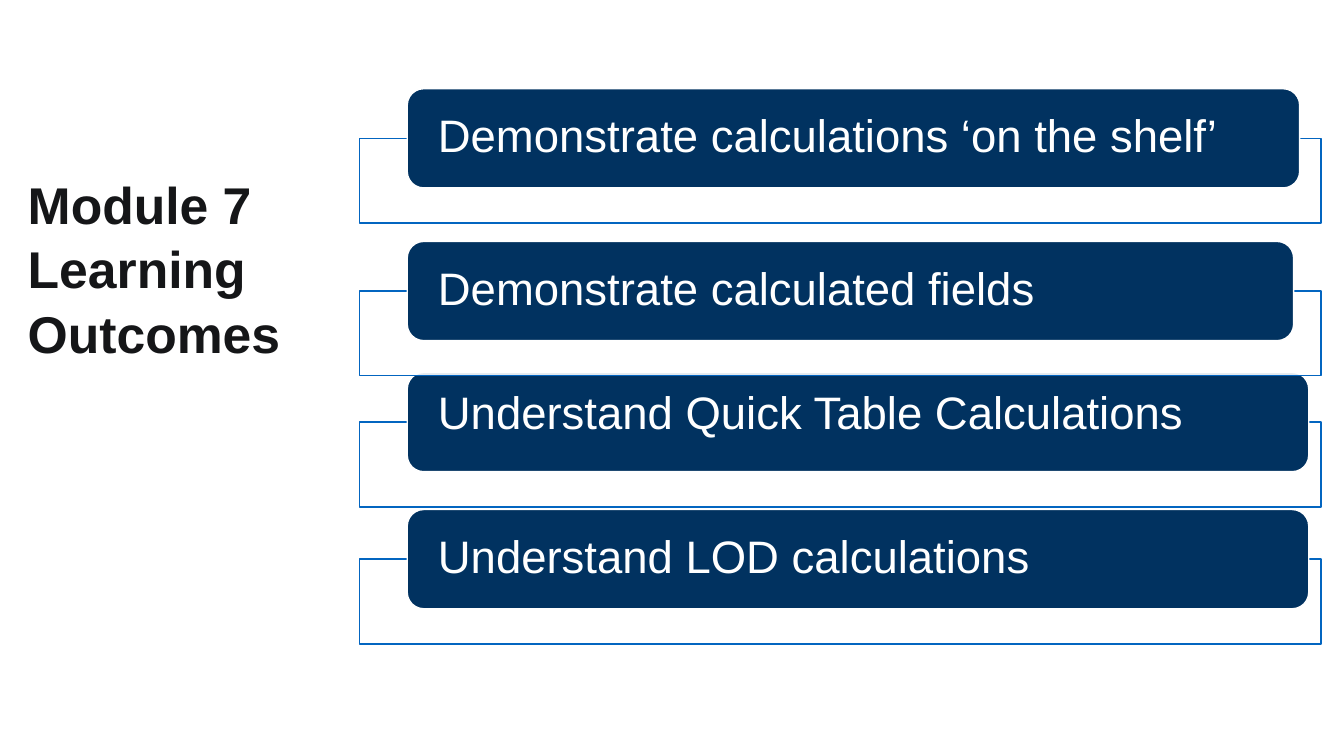
"""Build the Module 7 learning outcomes slide."""
from lxml import etree
from pptx import Presentation, util as u
from pptx.dml.color import RGBColor
from pptx.enum import shapes, text
from pptx.oxml.ns import qn

COLORS = {"ink": "151618", "navy": "013260", "blue": "0365C0", "white": "FFFFFF"}
FRAME_LEFT, FRAME_WIDTH, FRAME_HEIGHT = 513.4, 1373.8, 121
BAR_LEFT, BAR_HEIGHT = 581.8, 141.8
LABEL_INSET, LABEL_HEIGHT = 43.8, 70.6
OUTCOME_GROUPS = [
    [("Understand Quick Table Calculations", 532.1, 1288.1, 25.2, 88)],
    [("Understand LOD calculations", 727.9, 1288.1, 34.6, 88)],
    [("Demonstrate calculations ‘on the shelf’", 126.7, 1275.1, 34.6, 89),
     ("Demonstrate calculated fields", 344.9, 1266.5, 34.6, 89)],
]


class SlideBuilder:
    """Hold the text style and the current slide."""

    def __init__(self, slide, font="Arial"):
        self.slide = slide
        self.font = font

    def color(self, name):
        return RGBColor.from_string(COLORS[name])

    def add_text(self, frame, wording, size, color, spacing, margin, bold=False):
        frame.word_wrap = True
        frame.vertical_anchor = text.MSO_ANCHOR.MIDDLE
        frame.margin_left = frame.margin_right = u.Pt(margin)
        frame.margin_top = frame.margin_bottom = u.Pt(margin)
        paragraph = frame.paragraphs[0]
        paragraph.alignment = text.PP_ALIGN.LEFT
        paragraph.line_spacing = spacing
        run = paragraph.add_run()
        run.text = wording
        run.font.name = self.font
        run.font.size = u.Pt(size)
        run.font.bold = bold
        run.font.color.rgb = self.color(color)

    def title(self, wording, left, top, width, height):
        title = self.slide.shapes.title
        title.left, title.top = u.Pt(left), u.Pt(top)
        title.width, title.height = u.Pt(width), u.Pt(height)
        self.add_text(title.text_frame, wording, 73.8, "ink", 1.04, 7.2, bold=True)
        title.text_frame.auto_size = text.MSO_AUTO_SIZE.NONE

    def box(self, group, kind, bounds, fill, line, opacity=100):
        shape = group.shapes.add_shape(kind, *map(u.Pt, bounds))
        shape.shadow.inherit = False
        shape.fill.solid()
        shape.fill.fore_color.rgb = self.color(fill)
        shape.line.color.rgb = self.color(line)
        shape.line.width = u.Pt(2)
        if opacity < 100:
            color = shape.element.spPr.find(qn("a:solidFill"))[0]
            etree.SubElement(color, qn("a:alpha")).set("val", str(opacity * 1000))

    def outcome(self, group, wording, top, width, label_drop, opacity):
        frame_top = top + BAR_HEIGHT / 2
        self.box(group, shapes.MSO_SHAPE.RECTANGLE,
                 (FRAME_LEFT, frame_top, FRAME_WIDTH, FRAME_HEIGHT),
                 "white", "blue", opacity)
        self.box(group, shapes.MSO_SHAPE.ROUNDED_RECTANGLE,
                 (BAR_LEFT, top, width, BAR_HEIGHT), "navy", "white")
        label = group.shapes.add_textbox(
            u.Pt(BAR_LEFT + LABEL_INSET), u.Pt(top + label_drop),
            u.Pt(width - 2 * LABEL_INSET), u.Pt(LABEL_HEIGHT))
        self.add_text(label.text_frame, wording, 65, "white", 0.9, 0)


def main():
    presentation = Presentation()
    presentation.slide_width, presentation.slide_height = u.Pt(1920.24), u.Pt(1080)
    slide = presentation.slides.add_slide(presentation.slide_layouts[5])
    builder = SlideBuilder(slide)
    builder.title("Module 7 Learning Outcomes", 32.4, 231.8, 447.1, 298.8)
    for outcomes in OUTCOME_GROUPS:
        group = slide.shapes.add_group_shape()
        for outcome in outcomes:
            builder.outcome(group, *outcome)
    presentation.save("out.pptx")


if __name__ == "__main__":
    main()
